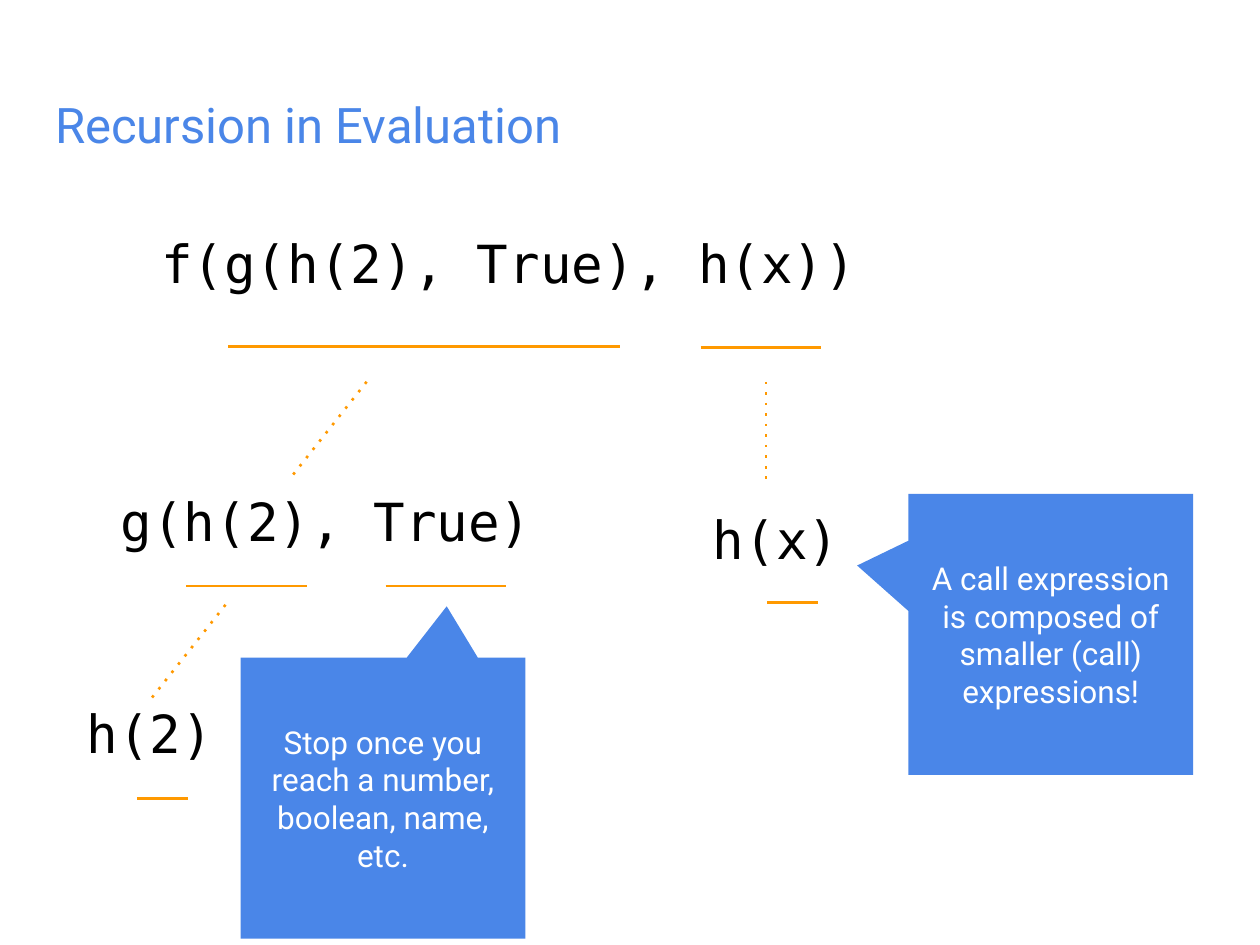
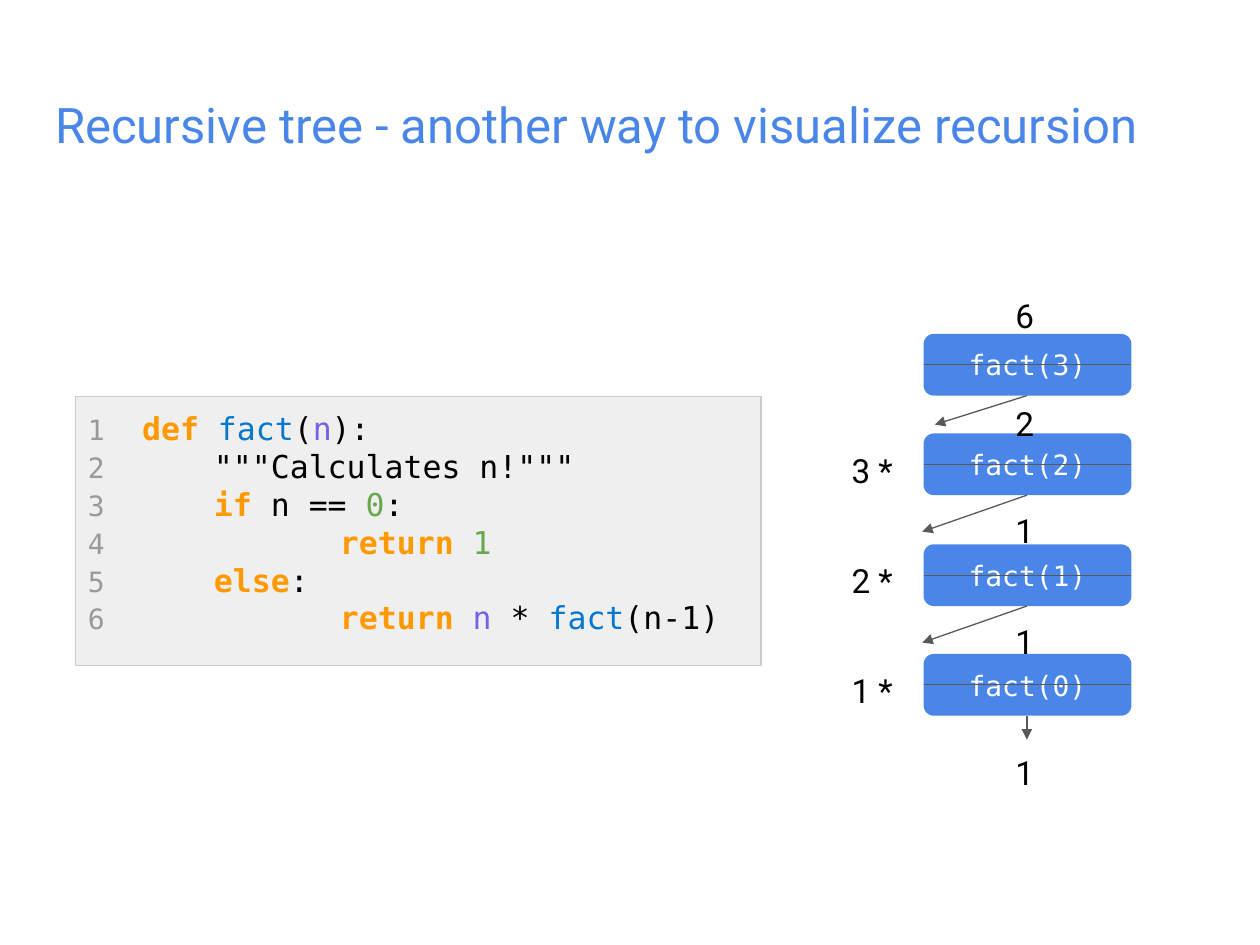
from dataclasses import dataclass

from lxml import etree
from pptx import Presentation
from pptx.dml.color import RGBColor
from pptx.enum.shapes import MSO_CONNECTOR, MSO_SHAPE
from pptx.enum.text import MSO_ANCHOR, PP_ALIGN
from pptx.oxml.ns import qn
from pptx.util import Inches, Pt

STRAIGHT = MSO_CONNECTOR.STRAIGHT
RECTANGLE = MSO_SHAPE.RECTANGLE
ROUNDED = MSO_SHAPE.ROUNDED_RECTANGLE
CALLOUT = MSO_SHAPE.ROUNDED_RECTANGULAR_CALLOUT
LEFT, CENTER = PP_ALIGN.LEFT, PP_ALIGN.CENTER
TOP, MIDDLE = MSO_ANCHOR.TOP, MSO_ANCHOR.MIDDLE


@dataclass(frozen=True)
class Theme:
    sans: str = "Roboto"
    mono: str = "DejaVu Sans Mono"
    blue: str = "4A86E8"
    orange: str = "FF9900"
    black: str = "000000"
    white: str = "FFFFFF"
    gray: str = "595959"
    panel: str = "EFEFEF"
    border: str = "CCCCCC"
    line_number: str = "999999"
    function: str = "0378CE"
    variable: str = "7A5FE7"
    number: str = "6AA84F"
    title_size: int = 28
    expression_size: int = 30
    value_size: int = 19
    body_size: int = 18
    call_size: int = 16
    inset: float = 0.1
    thin: float = 0.75
    thick: float = 1.5


class Deck:
    def __init__(self, theme):
        self.theme = theme
        self.presentation = Presentation()
        self.presentation.slide_width = Inches(10)
        self.presentation.slide_height = Inches(7.5)
        self.slide = None

    def new_slide(self, title):
        theme = self.theme
        self.slide = self.presentation.slides.add_slide(self.presentation.slide_layouts[6])
        self.text(title, 0.34, 0.65, 9.32, 0.83, theme.sans, theme.title_size, theme.blue)

    def style_font(self, font, name, size, color, bold=False):
        font.name = name
        font.size = Pt(size)
        font.bold = bold
        font.color.rgb = RGBColor.from_string(color)

    def set_frame(self, frame, anchor):
        frame.word_wrap = True
        frame.vertical_anchor = anchor
        frame.margin_left = frame.margin_right = Inches(self.theme.inset)
        frame.margin_top = frame.margin_bottom = Inches(self.theme.inset)

    def set_text(self, frame, text, name, size, color, align=LEFT, anchor=TOP):
        self.set_frame(frame, anchor)
        paragraph = frame.paragraphs[0]
        paragraph.text = text
        paragraph.alignment = align
        self.style_font(paragraph.font, name, size, color)

    def text(self, text, left, top, width, height, name, size, color):
        box = self.slide.shapes.add_textbox(Inches(left), Inches(top), Inches(width), Inches(height))
        self.set_text(box.text_frame, text, name, size, color)

    def expression(self, text, left, top, width):
        theme = self.theme
        self.text(text, left, top, width, 1.42, theme.mono, theme.expression_size, theme.black)

    def value(self, text, left, top, width, height):
        theme = self.theme
        self.text(text, left, top, width, height, theme.sans, theme.value_size, theme.black)

    def shape(self, kind, left, top, width, height, fill, adjustments=(), border=None):
        shape = self.slide.shapes.add_shape(
            kind, Inches(left), Inches(top), Inches(width), Inches(height))
        shape.shadow.inherit = False
        shape.fill.solid()
        shape.fill.fore_color.rgb = RGBColor.from_string(fill)
        if border:
            shape.line.color.rgb = RGBColor.from_string(border)
            shape.line.width = Pt(self.theme.thin)
        else:
            shape.line.fill.background()
        for index, adjustment in enumerate(adjustments):
            shape.adjustments[index] = adjustment
        return shape

    def callout(self, text, left, top, pointer):
        theme = self.theme
        shape = self.shape(CALLOUT, left, top, 2.26, 2.23, theme.blue, (*pointer, 0))
        self.set_text(shape.text_frame, text, theme.sans, theme.body_size, theme.white, CENTER, MIDDLE)

    def call_box(self, text, left, top, width, height):
        theme = self.theme
        shape = self.shape(ROUNDED, left, top, width, height, theme.blue, (0.167,))
        self.set_text(shape.text_frame, text, theme.mono, theme.call_size, theme.white, CENTER, MIDDLE)

    def line(self, start, end, color, width, dotted=False, arrow=False):
        points = [Inches(length) for length in (*start, *end)]
        connector = self.slide.shapes.add_connector(STRAIGHT, *points)
        connector.line.color.rgb = RGBColor.from_string(color)
        connector.line.width = Pt(width)
        properties = connector.element.spPr
        outline = properties.find(qn("a:ln"))
        if dotted:
            etree.SubElement(outline, qn("a:prstDash"), val="dot")
        if arrow:
            etree.SubElement(outline, qn("a:tailEnd"), type="triangle")
        etree.SubElement(properties, qn("a:effectLst"))

    def branch(self, start, end, dotted=False):
        self.line(start, end, self.theme.orange, self.theme.thick, dotted)

    def trace(self, start, end, arrow=False):
        self.line(start, end, self.theme.gray, self.theme.thin, arrow=arrow)

    def code(self, lines, left, top, width, height):
        theme = self.theme
        shape = self.shape(RECTANGLE, left, top, width, height, theme.panel, border=theme.border)
        frame = shape.text_frame
        self.set_frame(frame, TOP)
        for number, (indent, pieces) in enumerate(lines, 1):
            paragraph = frame.paragraphs[0] if number == 1 else frame.add_paragraph()
            paragraph.alignment = LEFT
            stops = etree.SubElement(paragraph._p.get_or_add_pPr(), qn("a:tabLst"))
            etree.SubElement(stops, qn("a:tab"), pos=str(Inches(indent)), algn="l")
            label = paragraph.add_run()
            label.text = str(number)
            self.style_font(label.font, theme.mono, theme.call_size, theme.line_number)
            for index, (text, color) in enumerate(pieces):
                run = paragraph.add_run()
                run.text = text if index else "\t" + text
                self.style_font(run.font, theme.mono, theme.body_size, color, color == theme.orange)


def build_evaluation(deck):
    deck.new_slide("Recursion in Evaluation")
    for text, left, top, width in (
        ("f(g(h(2), True), h(x))", 1.18, 1.73, 8.8),
        ("g(h(2), True)", 0.86, 3.78, 4.14),
        ("h(2)", 0.59, 5.46, 9.06),
        ("h(x)", 5.56, 3.92, 4.4),
    ):
        deck.expression(text, left, top, width)
    for left, top, length in (
        (1.81, 2.75, 3.11), (5.56, 2.76, 0.96), (1.48, 4.65, 0.96),
        (3.06, 4.65, 0.96), (1.09, 6.34, 0.4), (6.09, 4.78, 0.4),
    ):
        deck.branch((left, top), (left + length, top))
    for start, end in (
        ((2.91, 3.03), (2.3, 3.8)),
        ((1.79, 4.8), (1.18, 5.57)),
        ((6.08, 3.03), (6.08, 3.81)),
    ):
        deck.branch(start, end, dotted=True)
    deck.callout("A call expression is composed of smaller (call) expressions!",
                 7.21, 3.92, (-0.68, -0.245))
    deck.callout("Stop once you reach a number, boolean, name, etc.",
                 1.91, 5.22, (0.224, -0.683))


def build_tree(deck):
    theme = deck.theme
    deck.new_slide("Recursive tree - another way to visualize recursion")
    left, width, height = 7.33, 1.65, 0.49
    middle = 8.15
    calls = (
        (3, 2.65, "6", 2.24, (7.42, 3.37)),
        (2, 3.44, "2", 3.1, (7.32, 4.22)),
        (1, 4.32, "1", 3.95, (7.32, 5.1)),
        (0, 5.19, "1", 4.83, (middle, 5.87)),
    )
    for argument, top, result, result_top, arrow_end in calls:
        deck.call_box(f"fact({argument})", left, top, width, height)
        if argument < 3:
            deck.value(f"{argument + 1} *", 6.66, top + 0.03, 0.59, 0.43)
        deck.trace((middle, top + height), arrow_end, arrow=True)
        deck.trace((left, top + height / 2), (left + width, top + height / 2))
        deck.value(result, 7.96, result_top, 0.38, 0.35)
    deck.value("1", 7.96, 5.87, 0.38, 0.35)

    keyword, plain = theme.orange, theme.black
    first, second, third = 0.43, 1, 2
    deck.code((
        (first, (("def ", keyword), ("fact", theme.function), ("(", plain),
                 ("n", theme.variable), ("):", plain))),
        (second, (('"""Calculates n!"""', plain),)),
        (second, (("if ", keyword), ("n == ", plain), ("0", theme.number), (":", plain))),
        (third, (("return ", keyword), ("1", theme.number))),
        (second, (("else", keyword), (":", plain))),
        (third, (("return ", keyword), ("n ", theme.variable), ("* ", plain),
                 ("fact", theme.function), ("(n-1)", plain))),
    ), 0.6, 3.15, 5.44, 2.13)


def main():
    deck = Deck(Theme())
    build_evaluation(deck)
    build_tree(deck)
    deck.presentation.save("out.pptx")


if __name__ == "__main__":
    main()
